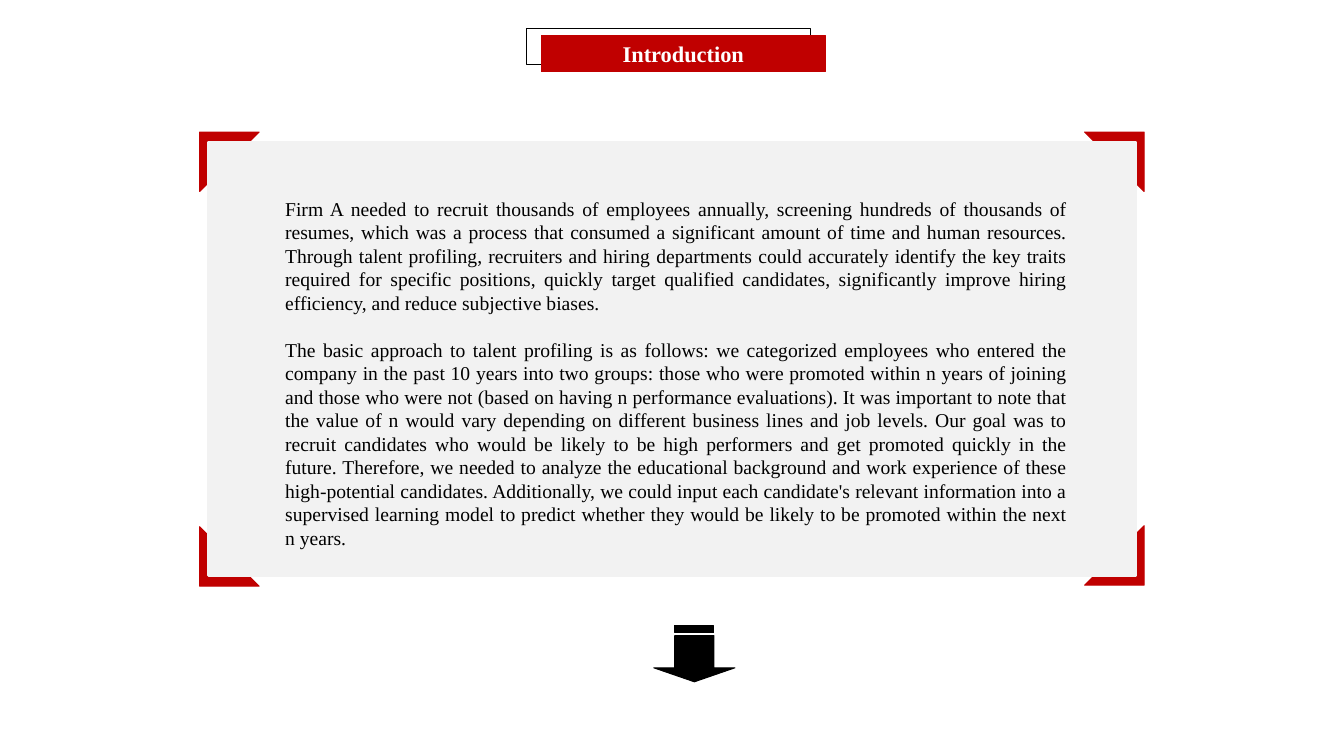
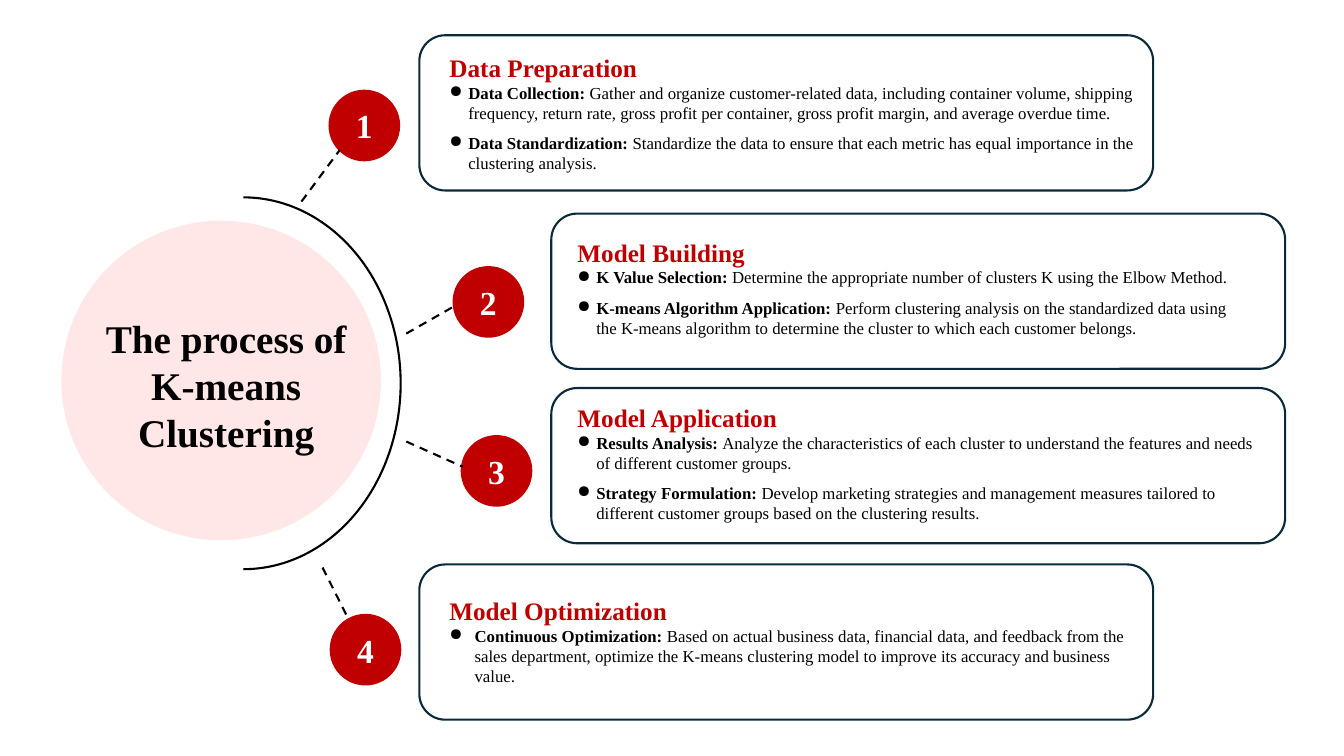
from lxml.etree import SubElement as Sub
from pptx import Presentation as Deck
from pptx.dml.color import RGBColor as Rgb
from pptx.enum.dml import MSO_LINE_DASH_STYLE as Dash
from pptx.enum.shapes import MSO_CONNECTOR_TYPE as Link, MSO_SHAPE as Kind
from pptx.enum.text import MSO_ANCHOR as Anchor, PP_ALIGN as Align
from pptx.oxml.ns import qn
from pptx.util import Pt

HUES = {"red": "C00000", "pink": "FFE7E7", "gray": "F2F2F2",
        "navy": "092A39", "black": "000000", "white": "FFFFFF"}
FONT = "Times New Roman"


class Page:
    """Holds the style and the current slide."""

    def __init__(self, deck):
        self.deck = deck

    def new(self):
        self.slide = self.deck.slides.add_slide(self.deck.slide_layouts[6])
        self.shapes = self.slide.shapes

    def hue(self, name):
        return Rgb.from_string(HUES[name])

    def paint(self, shape, fill, line, width):
        shape.shadow.inherit = False
        if fill:
            shape.fill.solid()
            shape.fill.fore_color.rgb = self.hue(fill)
        else:
            shape.fill.background()
        shape.line.color.rgb = self.hue(line)
        shape.line.width = Pt(width)

    def shape(self, kind, box, fill, line=None, width=1.5, turn=0):
        item = self.shapes.add_shape(kind, *map(Pt, box))
        self.paint(item, fill, line or fill, width)
        item.rotation = turn
        return item

    def outline(self, parts, fill, width=0.75):
        pen = self.shapes.build_freeform(*parts[0][0], scale=Pt(1))
        for num, part in enumerate(parts):
            if num:
                pen.move_to(*part[0])
            pen.add_line_segments(part[1:], close=True)
        self.paint(pen.convert_to_shape(), fill, fill, width)

    def dash(self, start, end):
        link = self.shapes.add_connector(Link.STRAIGHT, *map(Pt, start + end))
        link.line.color.rgb = self.hue("black")
        link.line.width = Pt(1.5)
        link.line.dash_style = Dash.DASH
        Sub(link._element.spPr, qn("a:effectLst"))

    def frame(self, box):
        frame = self.shapes.add_textbox(*map(Pt, box)).text_frame
        frame.word_wrap = True
        return frame

    def para(self, frame, runs, first=False, **form):
        para = frame.paragraphs[0] if first else frame.add_paragraph()
        for name, value in form.items():
            setattr(para, name, value)
        for text, size, hue, bold in runs:
            run = para.add_run()
            run.text = text
            look = {"name": FONT, "size": Pt(size), "bold": bold}
            for name, value in look.items():
                setattr(run.font, name, value)
            run.font.color.rgb = self.hue(hue)
        return para

    def label(self, shape, text, size):
        frame = shape.text_frame
        form = {"margin_left": 0, "margin_right": 0, "margin_top": 0,
                "margin_bottom": 0, "vertical_anchor": Anchor.MIDDLE}
        for name, value in form.items():
            setattr(frame, name, value)
        self.para(frame, [(text, size, "white", True)], True,
                  alignment=Align.CENTER)

    def bullet(self, frame, head, text, indent, gap):
        runs = [(head + " ", 12, "black", True), (text, 12, "black", False)]
        para = self.para(frame, runs, space_before=Pt(gap))
        props = para._p.get_or_add_pPr()
        props.set("marL", str(Pt(indent)))
        props.set("indent", str(-Pt(indent)))
        Sub(props, qn("a:buChar")).set("char", "●")

    def card(self, box, text_box, title, points, indent):
        self.shape(Kind.ROUNDED_RECTANGLE, box, "white", "navy")
        frame = self.frame(text_box)
        self.para(frame, [(title, 18, "red", True)], True)
        for num, (head, text) in enumerate(points):
            self.bullet(frame, head, text, indent, 7.2 if num else 0)


INTRO = [
    "Firm A needed to recruit thousands of employees annually, screening hundreds of thousands of resumes, which was a process that consumed a significant amount of time and human resources. Through talent profiling, recruiters and hiring departments could accurately identify the key traits required for specific positions, quickly target qualified candidates, significantly improve hiring efficiency, and reduce subjective biases.",
    "The basic approach to talent profiling is as follows: we categorized employees who entered the company in the past 10 years into two groups: those who were promoted within n years of joining and those who were not (based on having n performance evaluations). It was important to note that the value of n would vary depending on different business lines and job levels. Our goal was to recruit candidates who would be likely to be high performers and get promoted quickly in the future. Therefore, we needed to analyze the educational background and work experience of these high-potential candidates. Additionally, we could input each candidate's relevant information into a supervised learning model to predict whether they would be likely to be promoted within the next n years.",
]

# Card corner, text corner and width, indent, title, points
CARDS = [
    ((299.5, 25.2), (313.9, 33.8, 510.5), 13.5, "Data Preparation", [
        ("Data Collection:", "Gather and organize customer-related data, including container volume, shipping frequency, return rate, gross profit per container, gross profit margin, and average overdue time."),
        ("Data Standardization:", "Standardize the data to ensure that each metric has equal importance in the clustering analysis.")]),
    ((393.8, 152.6), (405.4, 165.6, 479.5), 13.5, "Model Building", [
        ("K Value Selection:", "Determine the appropriate number of clusters K using the Elbow Method."),
        ("K-means Algorithm Application:", "Perform clustering analysis on the standardized data using the K-means algorithm to determine the cluster to which each customer belongs.")]),
    ((393.8, 277.2), (405.4, 283.7, 504), 13.5, "Model Application", [
        ("Results Analysis:", "Analyze the characteristics of each cluster to understand the features and needs of different customer groups."),
        ("Strategy Formulation:", "Develop marketing strategies and management measures tailored to different customer groups based on the clustering results.")]),
    ((299.5, 403.2), (313.9, 421.9, 498.2), 18, "Model Optimization", [
        ("Continuous Optimization:", "Based on actual business data, financial data, and feedback from the sales department, optimize the K-means clustering model to improve its accuracy and business value.")]),
]

# Circle corner, dash start, dash end
STEPS = [
    ((235.4, 64.8), (215.3, 144), (242.6, 107.3)),
    ((324, 190.8), (290.2, 238.3), (325.4, 218.2)),
    ((329.8, 311.5), (290.2, 315.4), (330.5, 333.4)),
    ((236.2, 439.2), (230.4, 405.4), (247.7, 439.9)),
]


def intro(page):
    page.new()
    # Corner marks
    for left, top, turn in [(142.6, 94.3, 90), (774.7, 94.3, 180),
                            (774.7, 375.5, 270), (142.6, 376.2, 0)]:
        page.shape(Kind.RIGHT_TRIANGLE, (left, top, 42.5, 42.5), "red",
                   width=0.75, turn=turn)
    # Title band
    page.shape(Kind.RECTANGLE, (375.8, 20.2, 203, 26), "white", "black", 0.75)
    band = page.shape(Kind.RECTANGLE, (386.6, 25.4, 203, 26), "red", width=0.75)
    page.label(band, "Introduction", 16)
    # Text panel
    page.shape(Kind.RECTANGLE, (149, 101.5, 662.4, 309.6), "gray")
    frame = page.frame((196.6, 136.8, 573.1, 283.7))
    for num, text in enumerate(INTRO):
        page.para(frame, [(text, 14, "black", False)], not num,
                  alignment=Align.JUSTIFY, space_before=Pt(16.8 * num))
    # Down arrow with two bars
    left, right = 481.7, 510.5
    arrow = [(524.9, 477.4), (right, 477.4), (right, 453.6), (left, 453.6),
             (left, 477.4), (467.3, 477.4), (496.1, 487.4)]
    bars = [[(right, top), (left, top), (left, low), (right, low)]
            for top, low in [(449.3, 452.2), (447.1, 448.6)]]
    page.outline([arrow] + bars, "black")


def process(page):
    page.new()
    # Hub with its arc
    page.shape(Kind.OVAL, (44.6, 158.4, 226.8, 226.8), "pink")
    arc = page.shape(Kind.ARC, (61.6, 141, 224.6, 265.6), None, "black")
    arc.adjustments[1] = 54
    frame = page.frame((56, 221, 211, 108.7))
    for num, text in enumerate(["The process of", "K-means", "Clustering"]):
        page.para(frame, [(text, 28, "black", True)], not num,
                  alignment=Align.CENTER)
    # Numbered steps
    for num, (spot, start, end) in enumerate(STEPS, 1):
        dot = page.shape(Kind.OVAL, (*spot, 49.7, 49.7), "red")
        page.label(dot, str(num), 24)
        page.dash(start, end)
    # Cards
    for spot, (left, top, wide), indent, title, points in CARDS:
        page.card((*spot, 524.2, 110.9), (left, top, wide, 94.3),
                  title, points, indent)


def main():
    deck = Deck()
    deck.slide_width, deck.slide_height = Pt(960), Pt(540)
    page = Page(deck)
    intro(page)
    process(page)
    deck.save("out.pptx")


if __name__ == "__main__":
    main()
